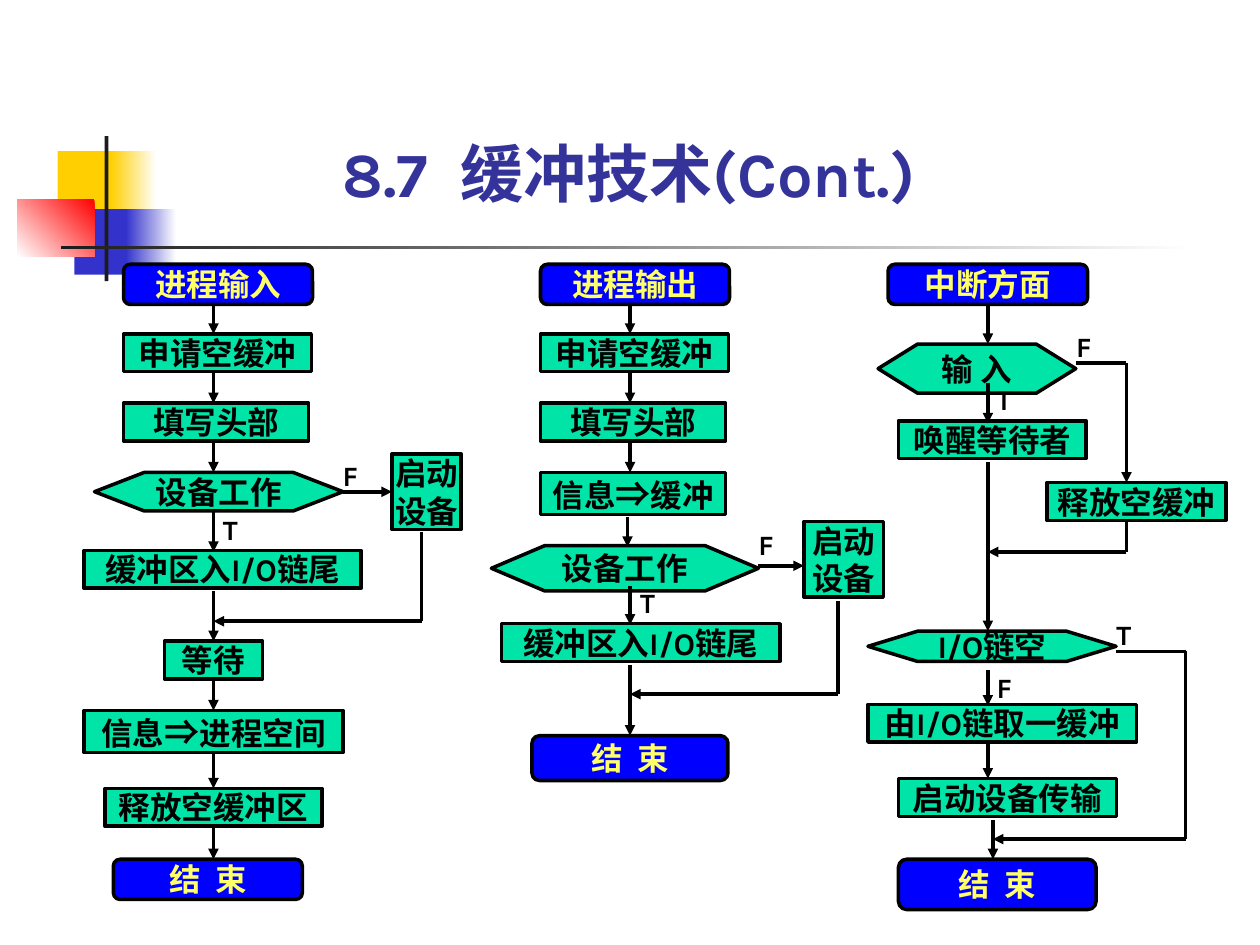
from dataclasses import dataclass
from itertools import pairwise

from lxml.etree import SubElement
from pptx import Presentation
from pptx.dml.color import RGBColor as Rgb
from pptx.enum.shapes import MSO_CONNECTOR as Link, MSO_SHAPE as Form
from pptx.enum.text import MSO_ANCHOR as Anchor, MSO_AUTO_SIZE as Fit, PP_ALIGN as Align
from pptx.oxml.ns import qn
from pptx.util import Pt


@dataclass(frozen=True)
class Theme:
    face: str = "Karla"
    sign_face: str = "Arial"
    head: int = 36
    body: int = 18
    sign: int = 20
    tag: int = 16
    line: int = 2
    title: str = "333399"
    ink: str = "000000"
    step: str = "00E4A8"
    end: str = "0000FF"
    glow: str = "FFFF66"
    gold: str = "FFCF01"
    blue: str = "3333CC"
    red: str = "FF0000"
    dark: str = "1C1C1C"
    white: str = "FFFFFF"


@dataclass(frozen=True)
class Block:
    x: float
    y: float
    w: float
    h: float
    fill: str
    fade: str = ""
    turn: int = 180


@dataclass(frozen=True)
class Node:
    form: Form
    text: str
    x: float
    y: float
    w: float
    h: float = 21.6

    def sides(self):
        """Middles of the sides, in the order of the connection sites."""
        mid, half = self.x + self.w / 2, self.y + self.h / 2
        return (mid, self.y), (self.x, half), (mid, self.y + self.h), (self.x + self.w, half)


T = Theme()
END, STEP, TEST = Form.FLOWCHART_ALTERNATE_PROCESS, Form.RECTANGLE, Form.FLOWCHART_PREPARATION

BLOCKS = [
    Block(33, 86.4, 34.6, 37.4, T.gold),
    Block(63.4, 86.4, 26, 37.4, T.white, T.gold),
    Block(42.5, 119.5, 33, 37.4, T.blue),
    Block(72, 119.5, 28.8, 37.4, T.white, T.blue),
    Block(10, 113.8, 44, 33, T.red, T.white, 225),
    Block(59.8, 77.8, 2.2, 82.8, T.dark),
    Block(34.6, 140.4, 648, 2.2, T.white, T.dark),
]

NODES = [
    Node(END, "进程输入", 70.6, 151, 108, 23),
    Node(STEP, "申请空缓冲", 70.6, 190.8, 107.3),
    Node(STEP, "填写头部", 70.6, 230.4, 105.8),
    Node(TEST, "设备工作", 54, 270, 142, 22),
    Node(STEP, "启动设备", 224, 259.4, 39.6, 43.2),
    Node(STEP, "缓冲区入I/O链尾", 48, 314.6, 158.4),
    Node(STEP, "等待", 94, 366.4, 56),
    Node(STEP, "信息⇒进程空间", 48, 406, 148, 24),
    Node(STEP, "释放空缓冲区", 60, 450.6, 124),
    Node(END, "结  束", 64.8, 491, 108, 23),
    Node(END, "进程输出", 308.9, 151, 108, 23),
    Node(STEP, "申请空缓冲", 308.9, 190.8, 107.3),
    Node(STEP, "填写头部", 308.9, 230.4, 105.8),
    Node(STEP, "信息⇒缓冲", 308.9, 270, 105.8, 24),
    Node(TEST, "设备工作", 280.8, 311.8, 152.6, 25.9),
    Node(STEP, "启动设备", 459.4, 298.1, 45.4, 43.2),
    Node(STEP, "缓冲区入I/O链尾", 286.6, 356.4, 159),
    Node(END, "结  束", 304, 420.4, 112, 25.6),
    Node(END, "中断方面", 507.5, 151, 114, 23),
    Node(TEST, "输 入", 501.8, 196.6, 113, 28.1),
    Node(STEP, "唤醒等待者", 513.4, 240.5, 107.3),
    Node(STEP, "释放空缓冲", 598.3, 275.8, 102.2),
    Node(TEST, "I/O链空", 496, 360.7, 141.8, 17.3),
    Node(STEP, "由I/O链取一缓冲", 496, 402.5, 153.4),
    Node(STEP, "启动设备传输", 513.4, 445, 124.6),
    Node(END, "结  束", 513.4, 491, 113, 28.8),
]

# Vertical arrows: x, then the start and end heights
DROPS = {
    122: [(174, 190.8), (213, 230.4), (252.7, 270), (292.3, 315.4), (337.7, 366.4),
          (388, 406), (430, 450.6), (472.2, 491)],
    360: [(174, 190.8), (213, 230.4), (252.7, 270), (334.8, 357), (380.2, 420.4)],
    358.6: [(295.2, 312.5)],
    564.5: [(174, 196.6), (218.9, 242), (264.2, 360.7), (383, 403.2), (424.8, 445)],
    567.4: [(468.7, 491)],
}

BENDS = [
    [(196, 281), (224, 281)],
    [(241, 303.8), (241, 355), (122, 355)],
    [(433.4, 323.3), (459.4, 323.3)],
    [(478.8, 343.4), (478.8, 396.7), (360, 396.7)],
    [(614.9, 207.4), (643.7, 207.4), (643.7, 275.8)],
    [(643.7, 298), (643.7, 315.4), (564.5, 315.4)],
    [(637.9, 372.2), (677.5, 372.2), (677.5, 479.5), (567.4, 479.5)],
]

TAGS = [
    ("F", 195.8, 262), ("T", 127.4, 293), ("F", 433.4, 301.7), ("T", 365.8, 334.8),
    ("F", 614.9, 188.6), ("T", 569.5, 218.9), ("F", 569.5, 383), ("T", 637.9, 352.8),
]


def write(frame, text, *, size=T.body, color=T.ink, align=Align.CENTER,
          anchor=Anchor.TOP, wrap=True, pad=(0, 0)):
    """Fill a frame with one bold line; the arrow sign has its own face and size."""
    frame.auto_size = Fit.NONE
    frame.word_wrap = wrap
    frame.vertical_anchor = anchor
    frame.margin_left = frame.margin_right = Pt(pad[0])
    frame.margin_top = frame.margin_bottom = Pt(pad[1])
    line = frame.paragraphs[0]
    line.alignment = align
    for part in filter(None, text.partition("⇒")):
        run = line.add_run()
        run.text = part
        sign = part == "⇒"
        run.font.name = T.sign_face if sign else T.face
        run.font.size = Pt(T.sign if sign else size)
        run.font.bold = True
        run.font.color.rgb = Rgb.from_string(color)


def place(tree, form: Form, item: Block | Node):
    shape = tree.add_shape(form, Pt(item.x), Pt(item.y), Pt(item.w), Pt(item.h))
    shape.shadow.inherit = False
    return shape


def draw_block(tree, block: Block) -> None:
    shape = place(tree, Form.RECTANGLE, block)
    shape.line.fill.background()
    if not block.fade:
        shape.fill.solid()
        shape.fill.fore_color.rgb = Rgb.from_string(block.fill)
        return
    shape.fill.gradient()
    shape.fill.gradient_angle = block.turn
    for spot, (stop, color) in enumerate(zip(shape.fill.gradient_stops, (block.fill, block.fade))):
        stop.position = spot
        stop.color.rgb = Rgb.from_string(color)


def draw_node(tree, node: Node):
    shape = place(tree, node.form, node)
    shape.fill.solid()
    shape.fill.fore_color.rgb = Rgb.from_string(T.end if node.form == END else T.step)
    shape.line.color.rgb = Rgb.from_string(T.ink)
    shape.line.width = Pt(T.line)
    look = {} if node.form == STEP else dict(anchor=Anchor.MIDDLE, wrap=False, pad=(7.2, 3.6))
    write(shape.text_frame, node.text, color=T.glow if node.form == END else T.ink, **look)
    return shape


def join(link, spot: tuple, shapes: list) -> None:
    """Attach an end of the link to the node whose side has its middle there."""
    for node, shape in zip(NODES, shapes):
        for site, (x, y) in enumerate(node.sides()):
            if max(abs(x - spot[0]), abs(y - spot[1])) < 0.3:
                link(shape, site)
                return


def draw_route(tree, route: list, shapes: list) -> None:
    """Draw straight lines through the points, with an arrowhead on the last."""
    for start, stop in pairwise(route):
        wire = tree.add_connector(Link.STRAIGHT, *map(Pt, start + stop))
        wire.line.color.rgb = Rgb.from_string(T.ink)
        wire.line.width = Pt(T.line)
        join(wire.begin_connect, start, shapes)
        join(wire.end_connect, stop, shapes)
        if stop == route[-1]:
            SubElement(wire.line._get_or_add_ln(), qn("a:tailEnd"), type="triangle")
        SubElement(wire._element.spPr, qn("a:effectLst"))


def main() -> None:
    deck = Presentation()
    deck.slide_width, deck.slide_height = Pt(720), Pt(540)
    slide = deck.slides.add_slide(deck.slide_layouts[5])
    tree = slide.shapes
    title = tree.title
    title.left, title.top, title.width, title.height = map(Pt, (195.8, 77, 357.2, 43.2))
    write(title.text_frame, "8.7  缓冲技术(Cont.)", size=T.head, color=T.title,
          align=Align.LEFT, anchor=Anchor.BOTTOM)
    for block in BLOCKS:
        draw_block(tree, block)
    shapes = [draw_node(tree, node) for node in NODES]
    drops = [[(x, top), (x, low)] for x, runs in DROPS.items() for top, low in runs]
    for route in drops + BENDS:
        draw_route(tree, route, shapes)
    for text, x, y in TAGS:
        box = tree.add_textbox(Pt(x), Pt(y), Pt(11.5), Pt(19.4))
        write(box.text_frame, text, size=T.tag, align=Align.LEFT)
    deck.save("out.pptx")


if __name__ == "__main__":
    main()
